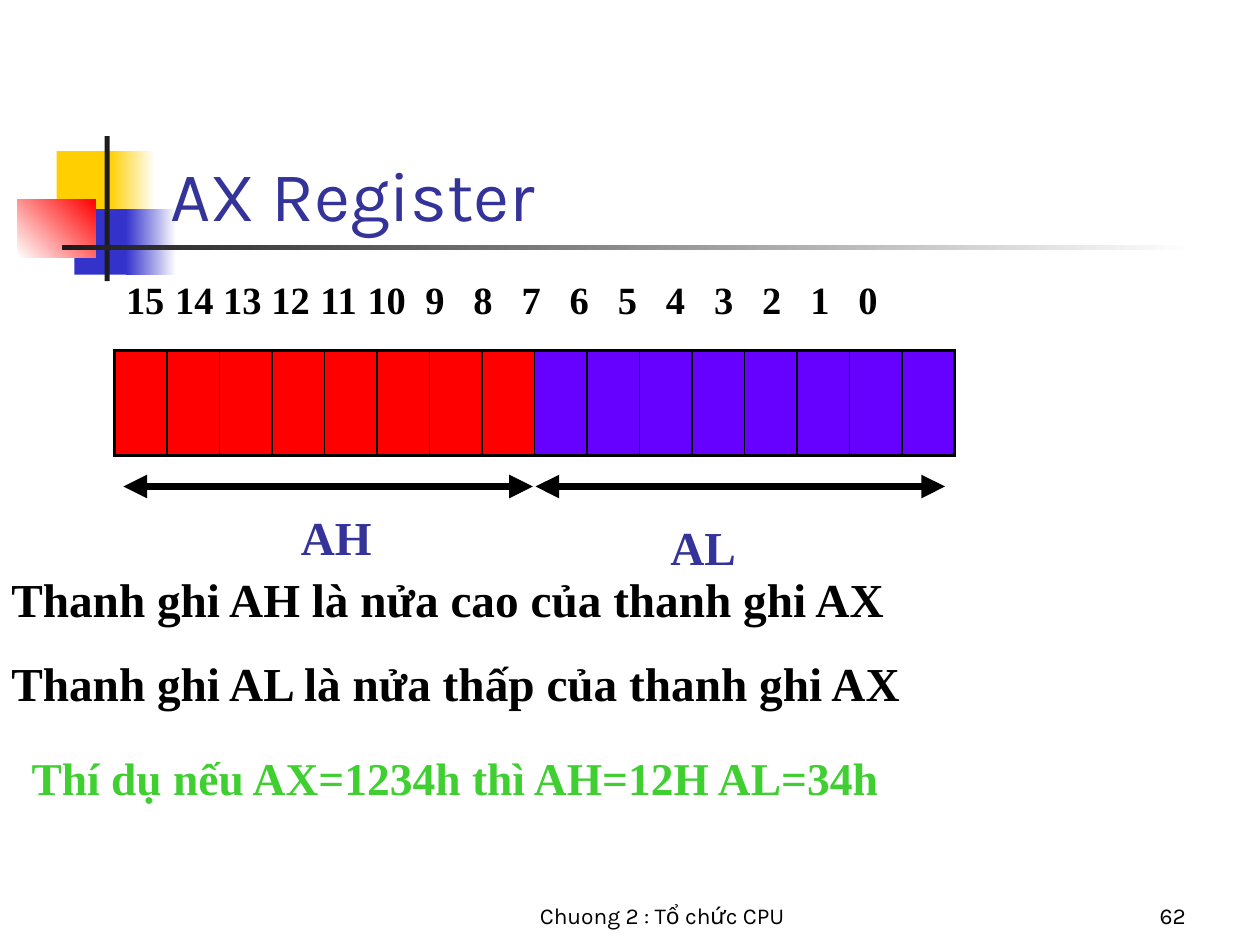
from pptx import Presentation
from pptx.dml.color import RGBColor
from pptx.enum.shapes import MSO_CONNECTOR, MSO_SHAPE
from pptx.enum.text import MSO_ANCHOR, PP_ALIGN
from pptx.oxml.ns import qn
from pptx.util import Pt
from lxml.etree import SubElement

THEME = {
    "serif": "Times New Roman", "sans": "Karla",
    "black": "000000", "navy": "333399", "green": "40CF31",
    "white": "FFFFFF", "gold": "FFCF01", "blue": "3333CC",
    "red": "FF0000", "ink": "1C1C1C", "violet": "6600FF",
    "title": 40, "label": 27, "case": 26, "bit": 22, "foot": 13,
}

DECOR = [
    (32.4, 86.4, 34.6, 37.4, ["gold"], 0),
    (62.6, 86.4, 25.9, 37.4, ["gold", "white"], 0),
    (42.5, 119.5, 33.1, 37.4, ["blue"], 0),
    (72, 119.5, 28.8, 37.4, ["blue", "white"], 0),
    (10, 113.8, 44.6, 33.4, ["white", "red"], 45),
    (59.8, 77.8, 2.9, 82.8, ["ink"], 0),
    (35.3, 140.2, 647.3, 2.6, ["ink", "white"], 0),
]

BITS = [str(n) for n in range(15, -1, -1)]
HALVES = ["red", "violet"]
ARROWS = [(70.5, 304.5), (306, 540)]

TEXTS = [
    (264.2, 498.2, 228.2, 36, ["Chuong 2 : Tổ chức CPU"], "foot", "sans", "black", "CENTER", "BOTTOM"),
    (534.2, 498.2, 149.8, 36, ["62"], "foot", "sans", "black", "RIGHT", "BOTTOM"),
    (90.7, 77.8, 347, 60.5, ["AX Register"], "title", "sans", "navy", "LEFT", "BOTTOM"),
    (120.2, 286.9, 144, 40.7, ["AH"], "label", "serif", "navy", "CENTER", "TOP"),
    (329.8, 292.7, 144, 40.7, ["AL"], "label", "serif", "navy", "CENTER", "TOP"),
    (11.5, 425.2, 653.8, 36.7, ["Thí dụ nếu AX=1234h thì AH=12H AL=34h"], "case", "serif", "green", "JUSTIFY", "TOP"),
    (65.5, 154.4, 498.2, 33.5, ["\t".join(BITS)], "bit", "serif", "black", "LEFT", "TOP"),
    (0, 322.2, 671.8, 87.8, ["Thanh ghi AH là nửa cao của thanh ghi AX",
                             "Thanh ghi AL là nửa thấp của thanh ghi AX"], "label", "serif", "black", "LEFT", "TOP"),
]

TABLE = (65.5, 200.2, 480, 60)
ROW_Y = 278
TAB_X, TAB_GAP = 11.5, 27.5
PAR_GAP = 15.5


def tint(name):
    return RGBColor.from_string(THEME[name])


def pts(*nums):
    return [Pt(n) for n in nums]


def add_block(slide, x, y, w, h, tones, angle):
    block = slide.shapes.add_shape(MSO_SHAPE.RECTANGLE, *pts(x, y, w, h))
    block.shadow.inherit = False
    block.line.fill.background()
    if len(tones) == 1:
        block.fill.solid()
        block.fill.fore_color.rgb = tint(tones[0])
        return
    block.fill.gradient()
    block.fill.gradient_angle = angle
    for stop, tone in zip(block.fill.gradient_stops, tones):
        stop.color.rgb = tint(tone)


def set_tabs(para):
    tabs = SubElement(para._p.get_or_add_pPr(), qn("a:tabLst"))
    for i in range(1, len(BITS)):
        SubElement(tabs, qn("a:tab"), pos=str(Pt(TAB_X + i * TAB_GAP)), algn="ctr")


def add_text(slide, x, y, w, h, lines, size, face, tone, align, anchor):
    frame = slide.shapes.add_textbox(*pts(x, y, w, h)).text_frame
    frame.word_wrap = True
    frame.vertical_anchor = MSO_ANCHOR[anchor]
    frame.margin_left = frame.margin_right = Pt(6.5)
    for i, line in enumerate(lines):
        para = frame.add_paragraph() if i else frame.paragraphs[0]
        para.alignment = PP_ALIGN[align]
        if i:
            para.space_before = Pt(PAR_GAP)
        if "\t" in line:
            set_tabs(para)
        run = para.add_run()
        run.text = line
        run.font.size = Pt(THEME[size])
        run.font.name = THEME[face]
        run.font.bold = face == "serif"
        run.font.color.rgb = tint(tone)


def add_edge(cell, side, width):
    edge = SubElement(cell._tc.get_or_add_tcPr(), qn(f"a:ln{side}"), w=str(Pt(width)))
    fill = SubElement(edge, qn("a:solidFill"))
    SubElement(fill, qn("a:srgbClr"), val=THEME["black"])


def add_bits(slide):
    count = len(BITS)
    table = slide.shapes.add_table(1, count, *pts(*TABLE)).table
    table.first_row = table.horz_banding = False
    for i in range(count):
        table.columns[i].width = Pt(TABLE[2] / count)
        cell = table.cell(0, i)
        add_edge(cell, "L", 2.25 if i == 0 else 1)
        add_edge(cell, "R", 2.25 if i == count - 1 else 1)
        add_edge(cell, "T", 2.25)
        add_edge(cell, "B", 2.25)
        cell.fill.solid()
        cell.fill.fore_color.rgb = tint(HALVES[i * 2 // count])


def add_arrow(slide, left, right):
    arrow = slide.shapes.add_connector(MSO_CONNECTOR.STRAIGHT, *pts(left, ROW_Y, right, ROW_Y))
    arrow.line.width = Pt(4.5)
    arrow.line.color.rgb = tint("black")
    line = arrow.line._get_or_add_ln()
    for end in ("headEnd", "tailEnd"):
        SubElement(line, qn(f"a:{end}"), type="triangle")
    SubElement(arrow._element.spPr, qn("a:effectLst"))


def main():
    deck = Presentation()
    deck.slide_width, deck.slide_height = pts(720, 540)
    slide = deck.slides.add_slide(deck.slide_layouts[6])
    for block in DECOR:
        add_block(slide, *block)
    add_bits(slide)
    for ends in ARROWS:
        add_arrow(slide, *ends)
    for text in TEXTS:
        add_text(slide, *text)
    deck.save("out.pptx")


if __name__ == "__main__":
    main()
